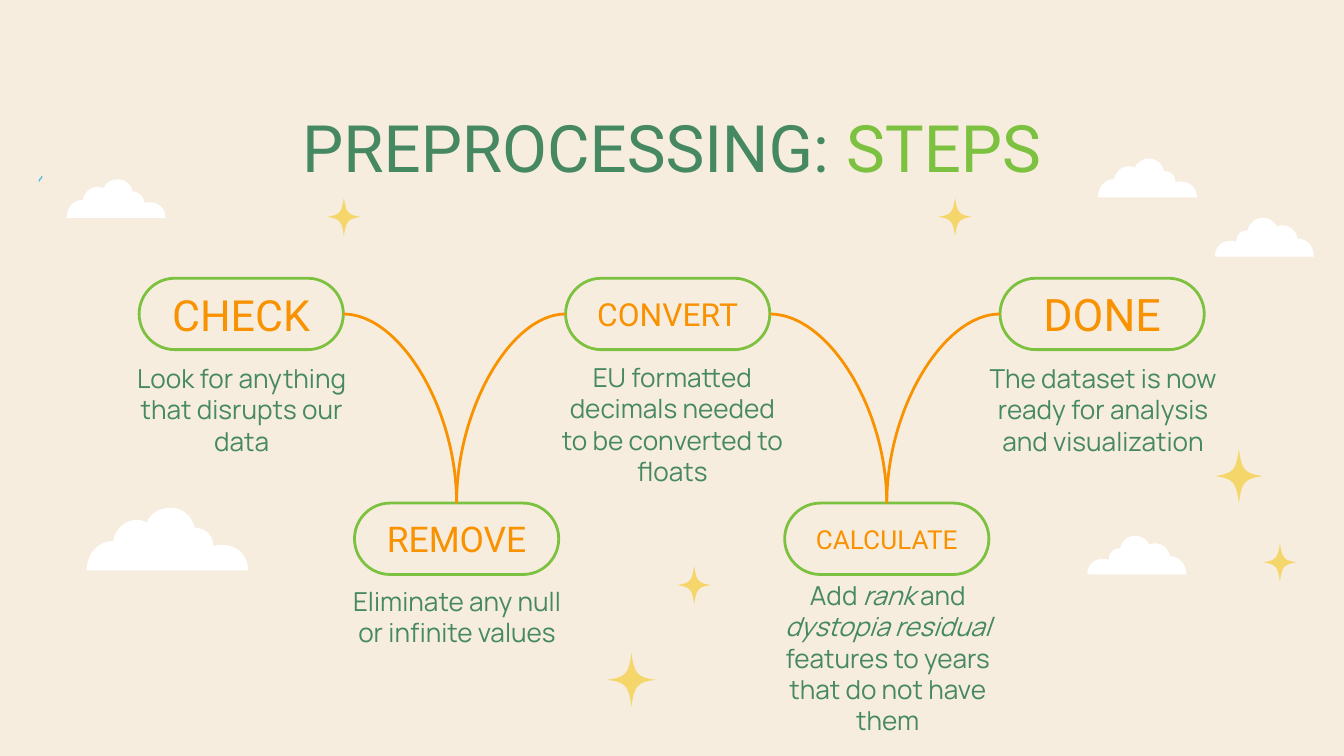
from dataclasses import dataclass

from lxml.etree import SubElement
from pptx import Presentation
from pptx.dml.color import RGBColor
from pptx.enum.shapes import MSO_CONNECTOR as Conn, MSO_SHAPE as Shape
from pptx.enum.text import MSO_ANCHOR as Anchor, MSO_AUTO_SIZE as AutoSize, PP_ALIGN as Align
from pptx.oxml.ns import qn
from pptx.util import Cm, Pt

COLORS = {
    "sand": "F7EDDF", "green": "458862", "lime": "7CC140", "orange": "F99200",
    "sky": "58BEE7", "white": "FFFFFF", "yellow": "F5D66B",
}
PILL_W, PILL_H = 3.86, 1.35
PILL_TOPS = (5.26, 9.51)   # upper and lower row
NOTE_TOPS = (6.73, 10.98)
NOTE_LEFT, NOTE_STEP, NOTE_W = 2.12, 4.07, 4.9


@dataclass(frozen=True)
class Step:
    label: str
    size: int
    left: float
    row: int
    note: tuple[str, ...]   # every second part is italic
    note_h: float


@dataclass(frozen=True)
class Ornament:
    left: float
    top: float
    width: float
    height: float
    mirrored: bool = False


STEPS = [
    Step("CHECK", 23, 2.63, 0, ("Look for anything that disrupts our data",), 2.01),
    Step("REMOVE", 19, 6.7, 1, ("Eliminate any null or infinite values",), 1.35),
    Step("CONVERT", 17, 10.69, 0,
         ("EU formatted decimals needed to be converted to floats",), 2.57),
    Step("CALCULATE", 14, 14.83, 1,
         ("Add ", "rank", " and ", "dystopia residual",
          " features to years that do not have them"), 2.9),
    Step("DONE", 24, 18.9, 0,
         ("The dataset is now ready for analysis and visualization",), 2.01),
]
CLOUDS = [
    Ornament(1.26, 3.39, 1.87, 0.73),
    Ornament(1.64, 9.6, 3.05, 1.18),
    Ornament(20.75, 3.0, 1.87, 0.73),
    Ornament(22.96, 4.12, 1.87, 0.73, mirrored=True),
    Ornament(20.55, 10.13, 1.87, 0.73, mirrored=True),
]
STARS = [
    Ornament(22.96, 8.49, 0.91, 1.02),
    Ornament(11.48, 12.34, 0.91, 1.02),
    Ornament(17.73, 3.73, 0.64, 0.74),
    Ornament(23.87, 10.26, 0.64, 0.74),
    Ornament(12.8, 10.69, 0.64, 0.74),
    Ornament(6.18, 3.73, 0.64, 0.74),
]

# Outlines as a grid size, a start point and pieces:
# a Bezier curve is (control, control, end), a straight line is (end,)
Outline = tuple[tuple[int, int], tuple[int, int], list]
CLOUD: Outline = ((121, 47), (62, 0), [
    ((55, 0), (48, 4), (45, 11)), ((43, 10), (40, 9), (38, 9)),
    ((29, 9), (21, 16), (20, 25)), ((8, 25), (0, 35), (0, 47)),
    ((121, 47),), ((121, 36), (113, 28), (102, 28)),
    ((100, 28), (98, 28), (95, 29)), ((95, 21), (89, 15), (81, 15)),
    ((79, 7), (73, 1), (65, 0)), ((64, 0), (63, 0), (62, 0)),
])
STAR: Outline = ((100, 100), (50, 0), [
    ((44, 39), (39, 45), (0, 50)), ((39, 55), (44, 61), (50, 100)),
    ((56, 61), (61, 55), (100, 50)), ((61, 45), (56, 39), (50, 0)),
])


def rgb(name: str) -> RGBColor:
    return RGBColor.from_string(COLORS[name])


def format_frame(tf) -> None:
    tf.word_wrap, tf.auto_size = True, AutoSize.NONE
    tf.vertical_anchor = Anchor.MIDDLE
    tf.margin_left = tf.margin_right = tf.margin_top = tf.margin_bottom = Cm(0.25)
    tf.paragraphs[0].alignment = Align.CENTER


def add_run(p, text: str, *, size: float, font: str, color: str, italic: bool = False) -> None:
    r = p.add_run()
    r.text = text
    r.font.size, r.font.name, r.font.italic = Pt(size), font, italic
    r.font.color.rgb = rgb(color)


def add_step(s, step: Step, index: int) -> None:
    pill = s.shapes.add_shape(Shape.ROUNDED_RECTANGLE, Cm(step.left),
                              Cm(PILL_TOPS[step.row]), Cm(PILL_W), Cm(PILL_H))
    pill.adjustments[0] = 0.5
    pill.shadow.inherit = False
    pill.fill.background()
    pill.line.color.rgb, pill.line.width = rgb("lime"), Pt(1.5)
    format_frame(pill.text_frame)
    add_run(pill.text_frame.paragraphs[0], step.label,
            size=step.size, font="Roboto", color="orange")

    note = s.shapes.add_textbox(Cm(NOTE_LEFT + index * NOTE_STEP), Cm(NOTE_TOPS[step.row]),
                                Cm(NOTE_W), Cm(step.note_h))
    format_frame(note.text_frame)
    for i, part in enumerate(step.note):
        add_run(note.text_frame.paragraphs[0], part, size=14, font="Manrope",
                color="green", italic=i % 2 == 1)


def add_curve(s, begin: tuple[float, float], end: tuple[float, float], *, color: str,
              width: float, rotation: int = 0, preset: str = "curvedConnector2") -> None:
    """Draw a curve; a quarter turn swaps the sides of its box about the centre."""
    w, h = abs(end[0] - begin[0]), abs(end[1] - begin[1])
    if rotation:
        w, h = h, w
    x, y = (begin[0] + end[0] - w) / 2, (begin[1] + end[1] - h) / 2
    cxn = s.shapes.add_connector(Conn.CURVE, Cm(x), Cm(y), Cm(x + w), Cm(y + h))
    cxn.line.color.rgb, cxn.line.width = rgb(color), Pt(width)
    sp_pr = cxn._element.spPr
    sp_pr.find(qn("a:prstGeom")).set("prst", preset)
    if rotation:
        sp_pr.find(qn("a:xfrm")).set("rot", str(rotation * 60000))
    SubElement(sp_pr, qn("a:effectLst"))


def add_ornament(s, outline: Outline, item: Ornament, color: str) -> None:
    """Build the outline from its corners, then bend the curved pieces."""
    (grid_w, grid_h), start, pieces = outline

    def place(x: float, y: float) -> tuple[int, int]:
        u = 1 - x / grid_w if item.mirrored else x / grid_w
        return Cm(item.left + u * item.width), Cm(item.top + y / grid_h * item.height)

    builder = s.shapes.build_freeform(*place(*start), scale=1.0)
    builder.add_line_segments([place(*piece[-1]) for piece in pieces], close=True)
    sp = builder.convert_to_shape()
    for segment, piece in zip(list(sp._element.iter(qn("a:lnTo"))), pieces):
        if len(piece) == 3:
            segment.tag = qn("a:cubicBezTo")
            segment.remove(segment[0])
            for x, y in (place(*point) for point in piece):
                SubElement(segment, qn("a:pt"), x=str(x - sp.left), y=str(y - sp.top))
    sp.shadow.inherit = False
    sp.fill.solid()
    sp.fill.fore_color.rgb = rgb(color)
    sp.line.fill.background()


def main() -> None:
    prs = Presentation()
    prs.slide_width, prs.slide_height = Cm(25.4), Cm(14.29)
    s = prs.slides.add_slide(prs.slide_layouts[5])
    s.background.fill.solid()
    s.background.fill.fore_color.rgb = rgb("sand")

    # Title
    title = s.shapes.title
    title.left, title.top, title.width, title.height = Cm(1.99), Cm(1.42), Cm(21.41), Cm(2.69)
    format_frame(title.text_frame)
    for text, color in (("PREPROCESSING: ", "green"), ("STEPS", "lime")):
        add_run(title.text_frame.paragraphs[0], text, size=35, font="Roboto", color=color)

    # Steps
    for i, step in enumerate(STEPS):
        add_step(s, step, i)

    # Curves from each upper pill down to the next lower one, and up again
    middle = PILL_TOPS[0] + PILL_H / 2
    for a, b in zip(STEPS, STEPS[1:]):
        if a.row == 0:
            add_curve(s, (a.left + PILL_W, middle), (b.left + PILL_W / 2, PILL_TOPS[1]),
                      color="orange", width=1.5)
        else:
            add_curve(s, (a.left + PILL_W / 2, PILL_TOPS[1]), (b.left, middle),
                      color="orange", width=1.5, rotation=270)

    # Decoration
    add_curve(s, (0.79, 3.33), (0.74, 3.43), color="sky", width=0.75,
              rotation=90, preset="curvedConnector3")
    for outline, items, color in ((CLOUD, CLOUDS, "white"), (STAR, STARS, "yellow")):
        for item in items:
            add_ornament(s, outline, item, color)

    prs.save("out.pptx")


if __name__ == "__main__":
    main()
